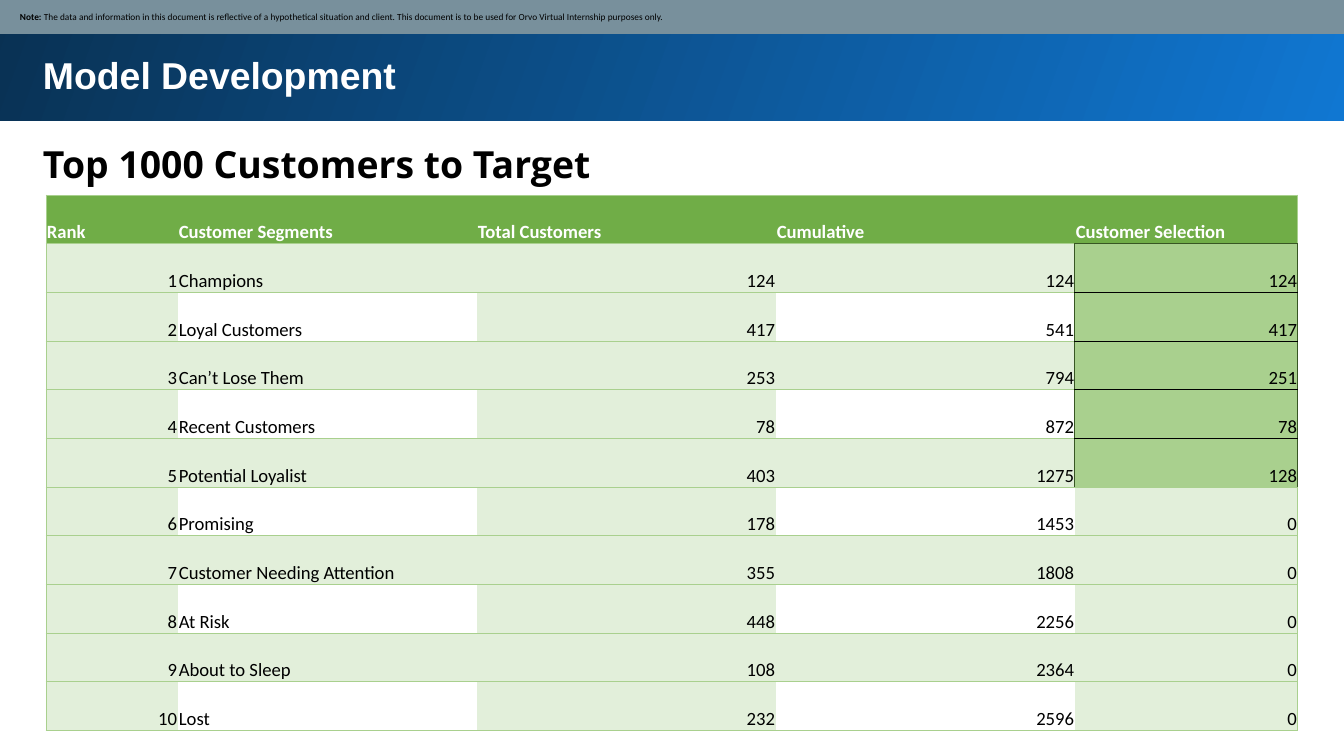
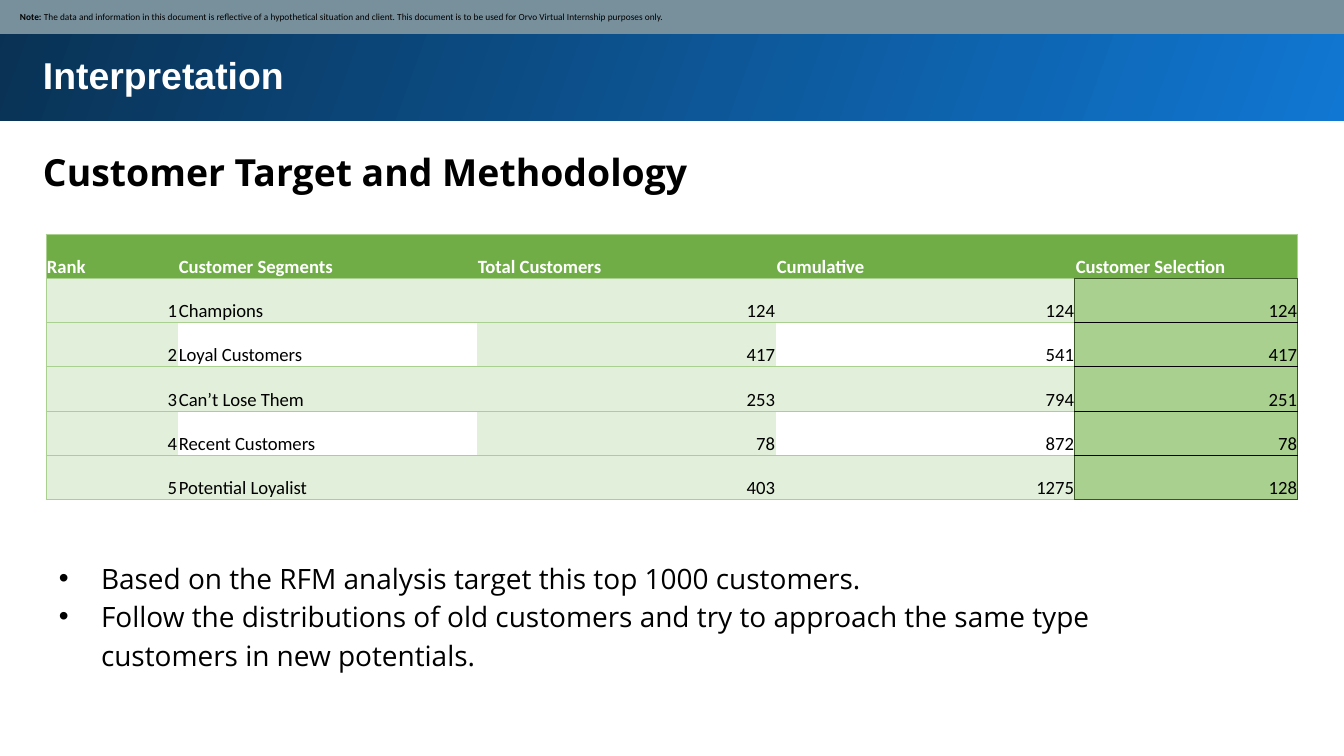
from lxml import etree
from pptx import Presentation
from pptx.dml.color import RGBColor
from pptx.enum.shapes import MSO_SHAPE
from pptx.enum.text import MSO_ANCHOR as Anchor, PP_ALIGN as Align
from pptx.oxml import parse_xml
from pptx.oxml.ns import nsdecls, qn
from pptx.util import Pt

EMU_PER_PX = 914400 / 134.4
COLORS = {
    "band_light": "1077D2", "band_dark": "093153", "note_bar": "78909C",
    "header": "70AD47", "selected": "A9D08E", "stripe": "E2EFDA",
    "light_line": "A9D08E", "dark_line": "375623",
    "black": "000000", "white": "FFFFFF",
}
FONTS = {
    "title": {"name": "Arial", "size": Pt(20), "bold": True},
    "subtitle": {"name": "Open Sans", "size": Pt(20), "bold": True},
    "bullet": {"name": "Open Sans", "size": Pt(15), "bold": False},
    "note_label": {"name": "Calibri", "size": Pt(5), "bold": True},
    "note": {"name": "Calibri", "size": Pt(5), "bold": False},
    "table_header": {"name": "Calibri", "size": Pt(10), "bold": True},
    "table_body": {"name": "Calibri", "size": Pt(10), "bold": False},
}
NOTE = ("The data and information in this document is reflective of a hypothetical "
        "situation and client. This document is to be used for Orvo Virtual "
        "Internship purposes only.")
HEADINGS = ("Rank", "Customer Segments", "Total Customers", "Cumulative",
            "Customer Selection")
COLUMN_WIDTHS = (132, 299, 299, 299, 223)
SEGMENTS = [
    ("Champions", 124, 124, 124),
    ("Loyal Customers", 417, 541, 417),
    ("Can’t Lose Them", 253, 794, 251),
    ("Recent Customers", 78, 872, 78),
    ("Potential Loyalist", 403, 1275, 128),
    ("Promising", 178, 1453, 0),
    ("Customer Needing Attention", 355, 1808, 0),
    ("At Risk", 448, 2256, 0),
    ("About to Sleep", 108, 2364, 0),
    ("Lost", 232, 2596, 0),
]
BULLETS = [
    "Based on the RFM analysis target this top 1000 customers.",
    "Follow the distributions of old customers and try to approach the same type "
    "customers in new potentials.",
]


def px(length):
    return round(length * EMU_PER_PX)


def rgb(color):
    return RGBColor.from_string(COLORS[color])


def set_attributes(target, values):
    for name, value in values.items():
        setattr(target, name, value)


def set_margins(target, left, top, right, bottom):
    set_attributes(target, {"margin_left": px(left), "margin_top": px(top),
                            "margin_right": px(right), "margin_bottom": px(bottom)})


def add_run(paragraph, text, font, color="black"):
    run = paragraph.add_run()
    run.text = text
    set_attributes(run.font, FONTS[font])
    run.font.color.rgb = rgb(color)


def add_rectangle(slide, box):
    shape = slide.shapes.add_shape(MSO_SHAPE.RECTANGLE, *map(px, box))
    shape.shadow.inherit = False
    shape.line.fill.background()
    return shape


def add_text(slide, box, lines, font, color="black", spacing=1.0, bulleted=False):
    frame = slide.shapes.add_textbox(*map(px, box)).text_frame
    frame.word_wrap = True
    set_margins(frame, 13, 13, 13, 13)
    for index, line in enumerate(lines):
        paragraph = frame.add_paragraph() if index else frame.paragraphs[0]
        paragraph.line_spacing = spacing
        add_run(paragraph, line, font, color)
        if bulleted:
            properties = paragraph._p.get_or_add_pPr()
            properties.set("marL", str(px(42)))
            properties.set("indent", str(px(-42)))
            etree.SubElement(properties, qn("a:buFont"), typeface="Arial")
            etree.SubElement(properties, qn("a:buChar"), char="•")


# Title band
def add_title_band(slide, box, title, title_height):
    left, top, _, _ = box
    band = add_rectangle(slide, box)
    band.fill.gradient()
    band.fill.gradient_angle = 160
    for stop, color in zip(band.fill.gradient_stops, ("band_light", "band_dark")):
        stop.color.rgb = rgb(color)
    add_text(slide, (left + 33, top + 42, 1259, title_height), [title], "title", "white")


# Disclaimer bar along the top edge
def add_note_bar(slide, box):
    bar = add_rectangle(slide, box)
    bar.fill.solid()
    bar.fill.fore_color.rgb = rgb("note_bar")
    frame = bar.text_frame
    set_attributes(frame, {"word_wrap": True, "vertical_anchor": Anchor.MIDDLE})
    set_margins(frame, 21, 7, 7, 7)
    paragraph = frame.paragraphs[0]
    paragraph.alignment = Align.LEFT
    add_run(paragraph, "Note: ", "note_label")
    add_run(paragraph, NOTE, "note")


# Segment table
def cell_fill(row, column, selected):
    if row == 0:
        return "header"
    if selected and column == 4:
        return "selected"
    return "stripe" if row % 2 or column % 2 == 0 else None


def cell_borders(row, column, selected_count, row_count):
    selected = 1 <= row <= selected_count
    borders = {"L": "light_line" if column == 0 else None,
               "R": "light_line" if column == 4 else None,
               "T": "light_line", "B": "light_line"}
    if column == 3 and selected:
        borders["R"] = "dark_line"
    if column == 4 and row == 0:
        borders["B"] = "dark_line"
    if column == 4 and selected:
        borders.update(L="dark_line", R="dark_line", B="black",
                       T="dark_line" if row == 1 else "black")
        if row == selected_count:
            borders["B"] = "dark_line" if row == row_count - 1 else "light_line"
    return borders


def draw_borders(cell, borders):
    properties = cell._tc.get_or_add_tcPr()
    for side, color in borders.items():
        paint = (f'<a:solidFill><a:srgbClr val="{COLORS[color]}"/></a:solidFill>'
                 if color else "<a:noFill/>")
        properties.append(parse_xml(
            f'<a:ln{side} {nsdecls("a")} w="{Pt(0.5)}">{paint}</a:ln{side}>'))


def add_segment_table(slide, box, segments):
    rows = [HEADINGS] + [(rank, *values) for rank, values in enumerate(segments, 1)]
    selected_count = sum(segment[-1] > 0 for segment in segments)
    table = slide.shapes.add_table(len(rows), len(HEADINGS), *map(px, box)).table
    set_attributes(table, {"first_row": False, "horz_banding": False})
    for column, width in zip(table.columns, COLUMN_WIDTHS):
        column.width = px(width)
    for row in table.rows:
        row.height = px(box[3] / len(rows))
    for row, values in enumerate(rows):
        for column, value in enumerate(values):
            cell = table.cell(row, column)
            cell.vertical_anchor = Anchor.BOTTOM
            set_margins(cell, 1, 1, 1, 0)
            draw_borders(cell, cell_borders(row, column, selected_count, len(rows)))
            fill = cell_fill(row, column, 1 <= row <= selected_count)
            if fill:
                cell.fill.solid()
                cell.fill.fore_color.rgb = rgb(fill)
            else:
                cell.fill.background()
            paragraph = cell.text_frame.paragraphs[0]
            paragraph.alignment = Align.RIGHT if isinstance(value, int) else Align.LEFT
            font, color = ("table_body", "black") if row else ("table_header", "white")
            add_run(paragraph, str(value), font, color)


# Slide: heading, segment table and optional bullets
def add_segment_slide(presentation, title, title_height, subtitle, subtitle_top,
                      table_box, segments, bullets=()):
    slide = presentation.slides.add_slide(presentation.slide_layouts[6])
    add_title_band(slide, (-3, -3, 1351, 124), title, title_height)
    add_text(slide, (30, subtitle_top, 1259, 75), [subtitle], "subtitle", spacing=1.15)
    if bullets:
        add_text(slide, (46, 543, 1089, 141), bullets, "bullet", spacing=1.15,
                 bulleted=True)
    add_note_bar(slide, (-1, -1, 1348, 35))
    add_segment_table(slide, table_box, segments)


def main():
    presentation = Presentation()
    set_attributes(presentation, {"slide_width": px(1344), "slide_height": px(756)})
    add_segment_slide(presentation, "Model Development", 69,
                      "Top 1000 Customers to Target", 121,
                      (46, 195, 1252, 536), SEGMENTS)
    add_segment_slide(presentation, "Interpretation", 112,
                      "Customer Target and Methodology", 129,
                      (46, 234, 1252, 266), SEGMENTS[:5], BULLETS)
    presentation.save("out.pptx")


if __name__ == "__main__":
    main()
